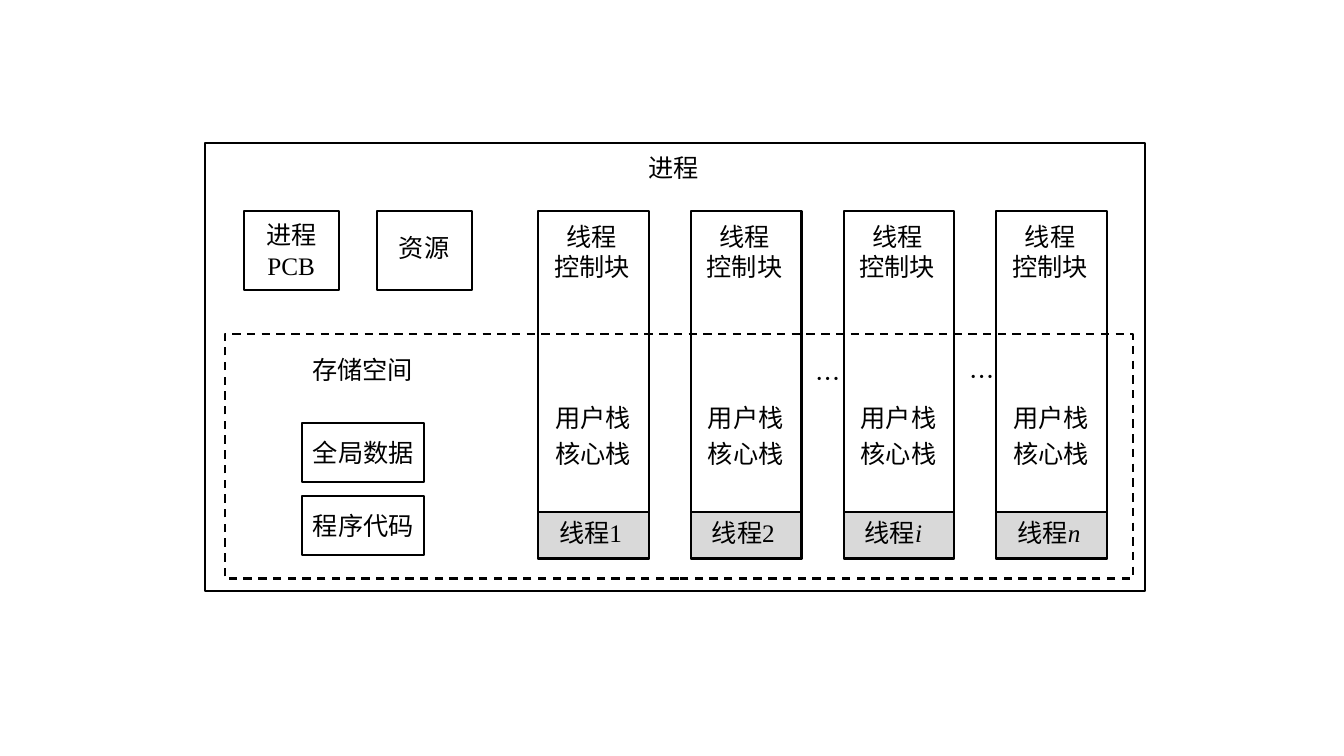
from lxml import etree
from pptx import Presentation
from pptx.dml.color import RGBColor
from pptx.enum.dml import MSO_LINE
from pptx.enum.shapes import MSO_SHAPE
from pptx.enum.text import MSO_ANCHOR, PP_ALIGN
from pptx.oxml.ns import qn
from pptx.util import Cm, Pt

RECTANGLE = MSO_SHAPE.RECTANGLE
DASH = MSO_LINE.DASH
LEFT, CENTER = PP_ALIGN.LEFT, PP_ALIGN.CENTER
TOP, MIDDLE = MSO_ANCHOR.TOP, MSO_ANCHOR.MIDDLE

# Content: places are left, top, width, height in cm
COLORS = {"ink": "000000", "label": "D9D9D9"}
CHINESE, LATIN = "Noto Sans CJK SC", "Times New Roman"
PROCESS = ("进程", (5.16, 3.61, 23.7, 11.28), (16.1, 3.71, 1.8, 1.02))
MEMORY = ("存储空间", (5.66, 8.41, 22.89, 6.17), (7.62, 8.81, 3.07, 1.02))
PARTS = [
    (["进程", "PCB"], 6.15, 5.41),
    (["资源"], 9.5, 5.72),
]
SEGMENTS = ["全局数据", "程序代码"]
THREADS = [("1", False), ("2", False), ("i", True), ("n", True)]
CONTROL_BLOCK = ["线程", "控制块"]
STACKS = ["用户栈", "核心栈"]
ELLIPSES = [(20.29, 9.02), (24.18, 8.97)]

# Layout rules
ROW_TOP, LINE_HEIGHT = 5.31, 1.02
THREAD_LEFT, THREAD_PITCH, THREAD_WIDTH, THREAD_HEIGHT = 13.56, 3.85, 2.79, 8.76
LABEL_TOP, LABEL_HEIGHT = 12.9, 1.19


def write(box, lines, align=LEFT, anchor=TOP, wrap=True, italic=False):
    """Each line is a string or a list of strings, one per span."""
    frame = box.text_frame
    frame.word_wrap = wrap
    frame.vertical_anchor = anchor
    for number, line in enumerate(lines):
        para = frame.paragraphs[0] if number == 0 else frame.add_paragraph()
        para.alignment = align
        for words in [line] if isinstance(line, str) else line:
            span = para.add_run()
            span.text = words
            font = span.font
            font.size = Pt(18)
            font.color.rgb = RGBColor.from_string(COLORS["ink"])
            font.name = LATIN if words.isascii() else CHINESE
            font.italic = italic and words.isascii()
            east_asian = etree.SubElement(font._element, qn("a:ea"))
            east_asian.set("typeface", CHINESE)


def add_text(shapes, place, lines, **style):
    write(shapes.add_textbox(*map(Cm, place)), lines, **style)


def add_box(shapes, place, fill=None, dash=None):
    box = shapes.add_shape(RECTANGLE, *map(Cm, place))
    box.shadow.inherit = False
    if fill:
        box.fill.solid()
        box.fill.fore_color.rgb = RGBColor.from_string(COLORS[fill])
    else:
        box.fill.background()
    box.line.color.rgb = RGBColor.from_string(COLORS["ink"])
    box.line.width = Pt(1.5)
    if dash:
        box.line.dash_style = dash
    return box


def add_thread(page, left, name, italic):
    shapes = page.shapes.add_group_shape().shapes
    add_box(shapes, (left, LABEL_TOP, THREAD_WIDTH, LABEL_HEIGHT), fill="label")
    add_box(shapes, (left, ROW_TOP, THREAD_WIDTH, THREAD_HEIGHT))
    add_text(shapes, (left - 0.04, 5.44, THREAD_WIDTH, 1.8), CONTROL_BLOCK, align=CENTER)
    for row, stack in enumerate(STACKS):
        add_text(shapes, (left + 0.18, 10.01 + row * 0.92, 2.54, LINE_HEIGHT), [stack])
    add_text(shapes, (left + 0.28, LABEL_TOP, THREAD_WIDTH, LINE_HEIGHT),
             [["线程", name]], italic=italic)


def main():
    deck = Presentation()
    deck.slide_width, deck.slide_height = Cm(33.87), Cm(19.05)
    page = deck.slides.add_slide(deck.slide_layouts[6])
    shapes = page.shapes

    # Process frame with its control block and resources
    caption, frame_place, caption_place = PROCESS
    add_box(shapes, frame_place)
    add_text(shapes, caption_place, [caption], wrap=False)
    for lines, left, text_top in PARTS:
        add_box(shapes, (left, ROW_TOP, 2.39, 2.01))
        add_text(shapes, (left + 0.25, text_top, 1.88, 0.24 + 0.78 * len(lines)),
                 lines, align=CENTER)

    # Threads and the gaps between them
    for number, (name, italic) in enumerate(THREADS):
        add_thread(page, THREAD_LEFT + number * THREAD_PITCH, name, italic)
    for left, top in ELLIPSES:
        add_text(shapes, (left, top, 0.51, LINE_HEIGHT), ["…"])

    # Memory space and its segments
    caption, frame_place, caption_place = MEMORY
    add_box(shapes, frame_place, dash=DASH)
    add_text(shapes, caption_place, [caption], wrap=False)
    for row, segment in enumerate(SEGMENTS):
        box = add_box(shapes, (7.62, 10.67 + row * 1.84, 3.07, 1.47))
        write(box, [segment], align=CENTER, anchor=MIDDLE, wrap=False)

    deck.save("out.pptx")


if __name__ == "__main__":
    main()
